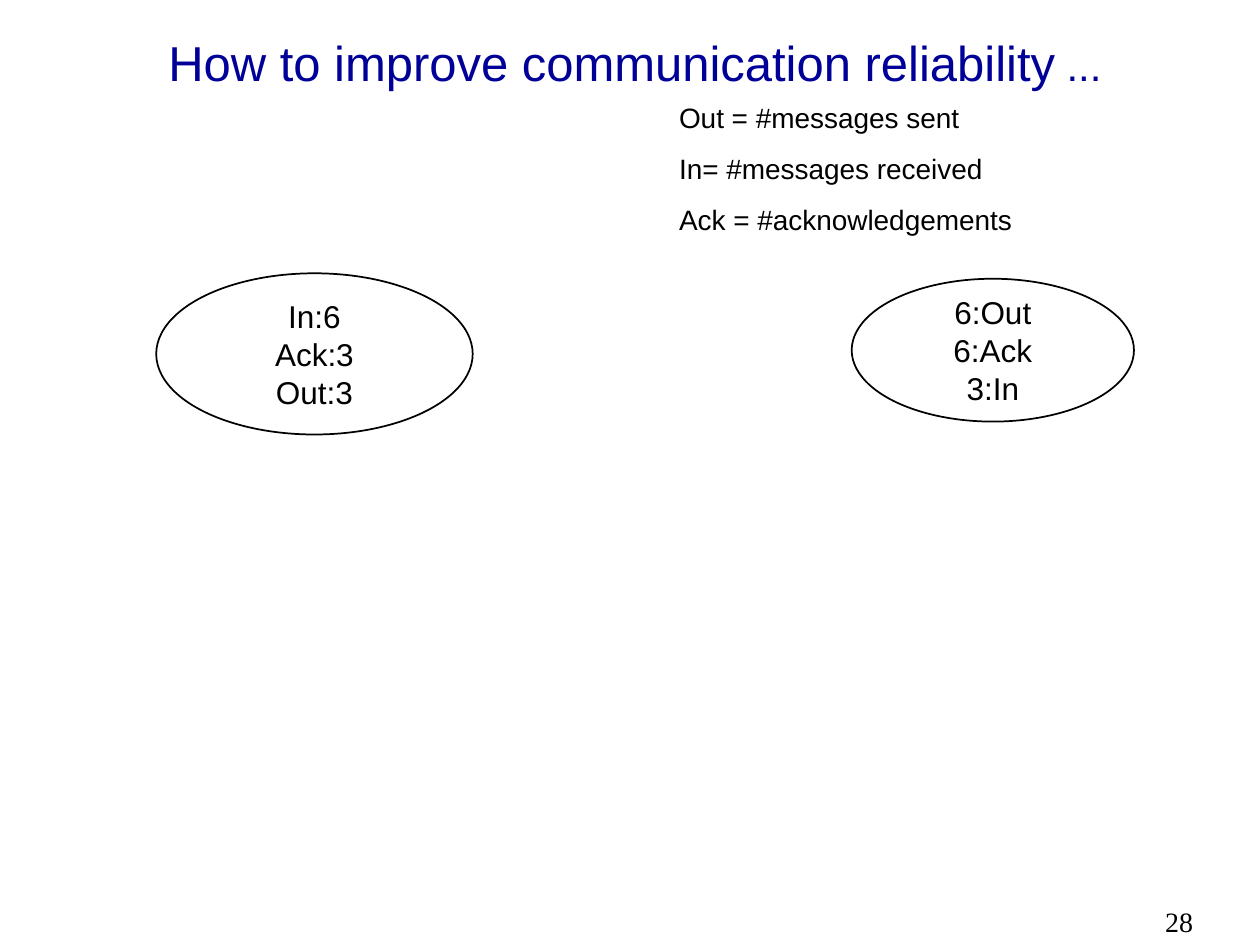
from pptx import Presentation
from pptx.dml.color import RGBColor
from pptx.enum.shapes import MSO_SHAPE
from pptx.enum.text import MSO_ANCHOR, PP_ALIGN
from pptx.util import Cm, Pt

COLORS = {"title": "000099", "ink": "000000", "paper": "FFFFFF"}


class Deck:
    """Holds the style and the current slide."""

    def __init__(self, font="Arial"):
        self.font = font
        self.prs = Presentation()
        self.prs.slide_width, self.prs.slide_height = Cm(25.4), Cm(19.05)
        self.slide = self.prs.slides.add_slide(self.prs.slide_layouts[5])

    def color(self, name):
        return RGBColor.from_string(COLORS[name])

    def style(self, frame, size, color="ink", font=None, align=PP_ALIGN.LEFT, gap=0):
        for i, par in enumerate(frame.paragraphs):
            par.alignment = align
            par.space_before = Pt(gap if i else 0)
            for run in par.runs:
                run.font.size = Pt(size)
                run.font.name = font or self.font
                run.font.color.rgb = self.color(color)

    def title(self, text, tail, left, top, width, height):
        """Set the title, with its tail in smaller type."""
        shape = self.slide.shapes.title
        shape.left, shape.top = Cm(left), Cm(top)
        shape.width, shape.height = Cm(width), Cm(height)
        frame = shape.text_frame
        frame.text = text
        frame.vertical_anchor = MSO_ANCHOR.MIDDLE
        par = frame.paragraphs[0]
        par.line_spacing = 0.8
        par.add_run().text = tail
        self.style(frame, 28, "title", align=PP_ALIGN.CENTER)
        par.runs[-1].font.size = Pt(24)

    def text(self, text, left, top, width, height, font=None):
        box = self.slide.shapes.add_textbox(Cm(left), Cm(top), Cm(width), Cm(height))
        frame = box.text_frame
        frame.word_wrap = True
        frame.text = text
        self.style(frame, 16, font=font, gap=10)

    def node(self, text, left, top, width, height):
        """Draw an ellipse with the counters of one process."""
        shape = self.slide.shapes.add_shape(
            MSO_SHAPE.OVAL, Cm(left), Cm(top), Cm(width), Cm(height))
        shape.shadow.inherit = False
        shape.fill.solid()
        shape.fill.fore_color.rgb = self.color("paper")
        shape.line.color.rgb = self.color("ink")
        shape.line.width = Pt(1)
        frame = shape.text_frame
        frame.word_wrap = False
        frame.vertical_anchor = MSO_ANCHOR.MIDDLE
        frame.text = text
        self.style(frame, 18, align=PP_ALIGN.CENTER)

    def save(self):
        self.prs.save("out.pptx")


def main():
    deck = Deck()
    deck.title("How to improve communication reliability", " ...", 2, 0.48, 21.6, 1.75)
    deck.node("6:Out\n6:Ack\n3:In", 17.17, 5.62, 5.69, 2.88)
    deck.node("In:6\nAck:3\nOut:3", 3.15, 5.51, 6.38, 3.25)
    deck.text("Out = #messages sent\nIn= #messages received\nAck = #acknowledgements",
              13.44, 1.9, 9.2, 3)
    deck.text("28", 23.24, 18.1, 2.16, 0.95, font="Times New Roman")
    deck.save()


if __name__ == "__main__":
    main()
